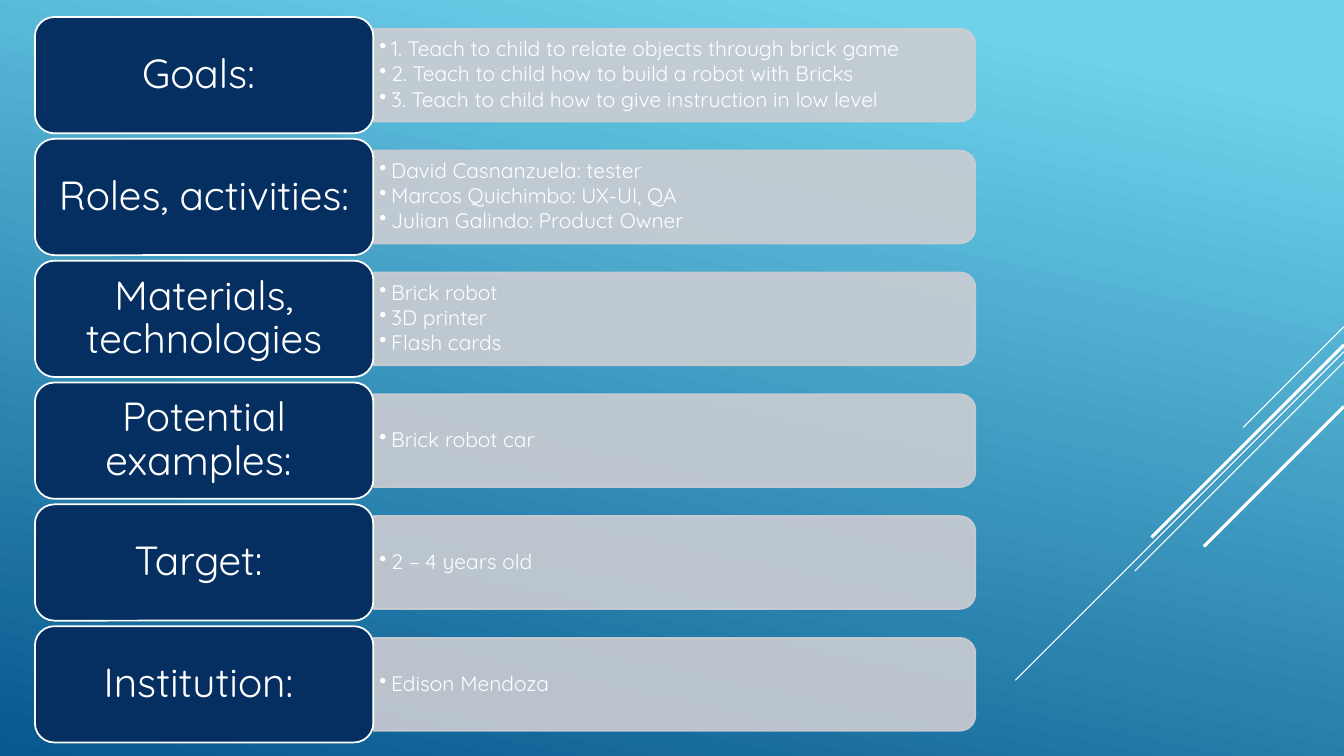
from dataclasses import dataclass

from lxml.etree import SubElement
from pptx import Presentation
from pptx.dml.color import RGBColor as Rgb
from pptx.enum.shapes import MSO_CONNECTOR as Connector, MSO_SHAPE as Shape
from pptx.enum.text import MSO_ANCHOR as Anchor, PP_ALIGN as Align
from pptx.oxml.ns import qn
from pptx.util import Cm, Pt


@dataclass(frozen=True)
class Theme:
    """Colours, font and type sizes of the slide."""
    sky: Rgb = Rgb.from_string("6ED2EB")
    ocean: Rgb = Rgb.from_string("06588E")
    navy: Rgb = Rgb.from_string("052F61")
    silver: Rgb = Rgb.from_string("CCCDD2")
    white: Rgb = Rgb.from_string("FFFFFF")
    font: str = "Quicksand"
    heading_size: float = 29
    detail_size: float = 15
    outline: float = 1.25


SLIDE_WIDTH, SLIDE_HEIGHT = 33.87, 19.05
FIRST_TOP, ROW_PITCH = 0.43, 3.07
LABEL_LEFT, LABEL_WIDTH, LABEL_HEIGHT = 0.88, 8.53, 2.93
BAND_LEFT, BAND_WIDTH, BAND_HEIGHT = LABEL_LEFT + LABEL_WIDTH, 15.17, 2.34
DETAIL_WIDTH, DETAIL_HEIGHT = 15.06, 2.11

SECTIONS = [
    ("Goals: ", [
        "1. Teach to child to relate objects through brick game",
        "2. Teach to child how to build a robot with Bricks",
        "3. Teach to child how to give instruction in low level",
    ]),
    ("Roles, activities: ", [
        "David Casnanzuela: tester",
        "Marcos Quichimbo: UX-UI, QA",
        "Julian Galindo: Product Owner",
    ]),
    ("Materials, technologies", ["Brick robot", "3D printer", "Flash cards"]),
    ("Potential examples: ", ["Brick robot car"]),
    ("Target: ", ["2 – 4 years old"]),
    ("Institution: ", ["Edison Mendoza"]),
]

DIAGONALS = [
    (8.23, 2.54, 0.75),
    (8.86, 8.28, 0.75),
    (9.12, 5.27, 0.75),
    (8.69, 4.85, 2.25),
    (10.24, 3.53, 2.25),
]


class SlideBuilder:
    """Draws the kinds of element used on the slide."""

    def __init__(self, slide, theme):
        """Keep the slide and its style."""
        self.slide = slide
        self.theme = theme

    def background(self):
        """Fill the background with a slanted gradient."""
        fill = self.slide.background.fill
        fill.gradient()
        fill.gradient_angle = 258
        colours = [(0.1, self.theme.sky), (1, self.theme.ocean)]
        for stop, (position, colour) in zip(fill.gradient_stops, colours):
            stop.position = position
            stop.color.rgb = colour

    def diagonal(self, start_y, reach, weight):
        """Draw a 45 degree line down from the right edge."""
        diagonal = self.slide.shapes.add_connector(
            Connector.STRAIGHT, Cm(SLIDE_WIDTH), Cm(start_y),
            Cm(SLIDE_WIDTH - reach), Cm(start_y + reach))
        diagonal.line.color.rgb = self.theme.white
        diagonal.line.width = Pt(weight)
        SubElement(diagonal._element.spPr, qn("a:effectLst"))

    def panel(self, kind, left, top, width, height, fill, outline):
        """Draw a filled, outlined shape."""
        panel = self.slide.shapes.add_shape(
            kind, Cm(left), Cm(top), Cm(width), Cm(height))
        panel.shadow.inherit = False
        panel.fill.solid()
        panel.fill.fore_color.rgb = fill
        panel.line.color.rgb = outline
        panel.line.width = Pt(self.theme.outline)
        return panel

    def frame(self, holder, inset_x, inset_y):
        """Prepare a wrapped, vertically centred text frame."""
        frame = holder.text_frame
        frame.word_wrap = True
        frame.vertical_anchor = Anchor.MIDDLE
        frame.margin_left = frame.margin_right = Cm(inset_x)
        frame.margin_top = frame.margin_bottom = Cm(inset_y)
        return frame

    def add_words(self, paragraph, words, size):
        """Add one run in the slide's style."""
        paragraph.line_spacing = 0.9
        run = paragraph.add_run()
        run.text = words
        run.font.name = self.theme.font
        run.font.size = Pt(size)
        run.font.color.rgb = self.theme.white

    def band(self, middle):
        """Draw a translucent band rounded on its right side."""
        band = self.panel(
            Shape.ROUND_2_SAME_RECTANGLE,
            BAND_LEFT + (BAND_WIDTH - BAND_HEIGHT) / 2, middle - BAND_WIDTH / 2,
            BAND_HEIGHT, BAND_WIDTH, self.theme.silver, self.theme.silver)
        band.rotation = 90
        for colour in band._element.spPr.iter(qn("a:srgbClr")):
            SubElement(colour, qn("a:alpha"), val="90000")

    def details(self, middle, items):
        """Set the bulleted items over a band."""
        details = self.slide.shapes.add_textbox(
            Cm(BAND_LEFT), Cm(middle - DETAIL_HEIGHT / 2),
            Cm(DETAIL_WIDTH), Cm(DETAIL_HEIGHT))
        frame = self.frame(details, 0.15, 0.08)
        for index, item in enumerate(items):
            paragraph = frame.add_paragraph() if index else frame.paragraphs[0]
            paragraph.level = 1
            paragraph.space_after = Pt(1.7)
            self.add_words(paragraph, item, self.theme.detail_size)
            properties = paragraph._p.get_or_add_pPr()
            properties.set("marL", str(Cm(0.3)))
            properties.set("indent", str(-Cm(0.3)))
            SubElement(properties, qn("a:buChar"), char="•")

    def label(self, middle, heading):
        """Draw a rounded label with its centred heading."""
        label = self.panel(
            Shape.ROUNDED_RECTANGLE, LABEL_LEFT, middle - LABEL_HEIGHT / 2,
            LABEL_WIDTH, LABEL_HEIGHT, self.theme.navy, self.theme.white)
        paragraph = self.frame(label, 0.44, 0.3).paragraphs[0]
        paragraph.alignment = Align.CENTER
        self.add_words(paragraph, heading, self.theme.heading_size)


def main():
    """Build and save the slide."""
    deck = Presentation()
    deck.slide_width, deck.slide_height = Cm(SLIDE_WIDTH), Cm(SLIDE_HEIGHT)
    builder = SlideBuilder(deck.slides.add_slide(deck.slide_layouts[6]), Theme())
    builder.background()
    for start_y, reach, weight in DIAGONALS:
        builder.diagonal(start_y, reach, weight)
    for row, (heading, items) in enumerate(SECTIONS):
        middle = FIRST_TOP + LABEL_HEIGHT / 2 + row * ROW_PITCH
        builder.band(middle)
        builder.details(middle, items)
        builder.label(middle, heading)
    deck.save("out.pptx")


if __name__ == "__main__":
    main()
